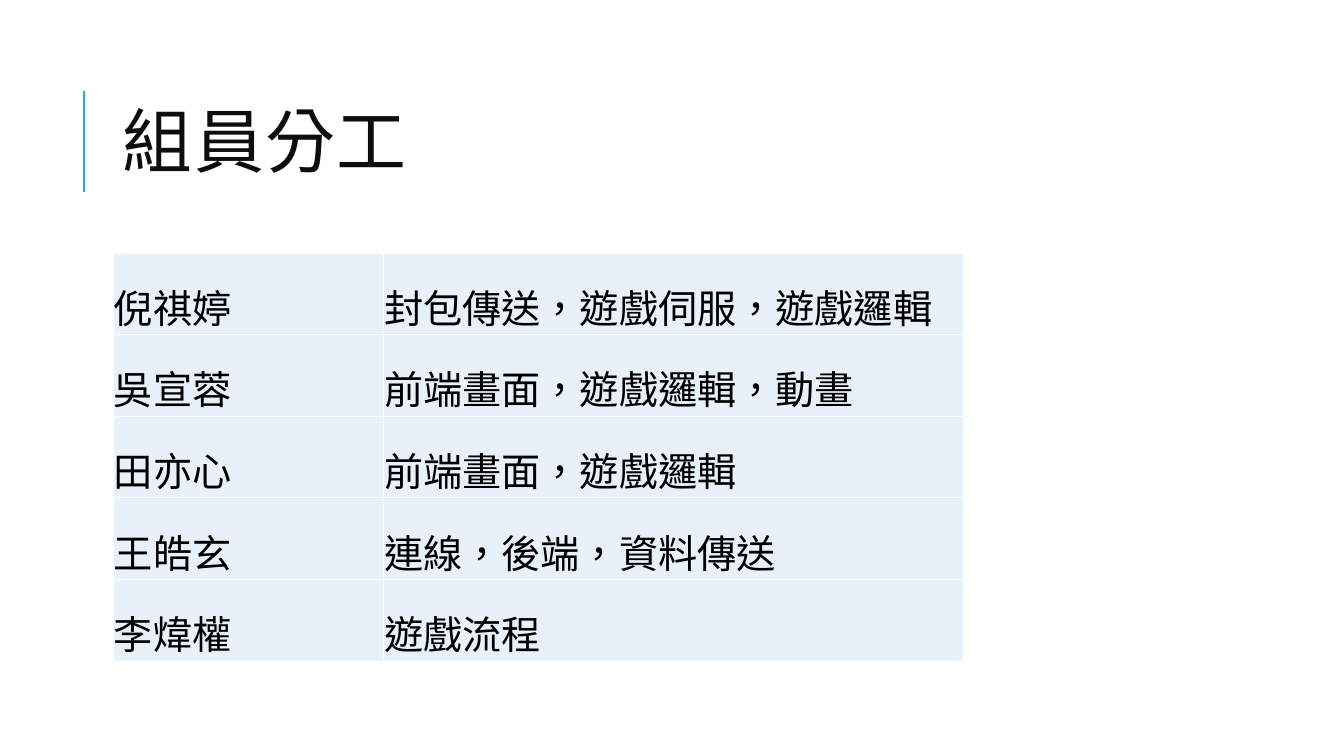
from dataclasses import dataclass

from lxml.etree import SubElement
from pptx import Presentation
from pptx.dml.color import RGBColor
from pptx.enum.shapes import MSO_CONNECTOR
from pptx.enum.text import MSO_ANCHOR
from pptx.oxml.ns import qn
from pptx.util import Inches, Pt

SLIDE_WIDTH, SLIDE_HEIGHT = 13.33, 7.5
COLORS = {"accent": "1CADE4", "title": "0D0D0D", "body": "000000",
          "cell": "E8F1FA", "border": "FFFFFF"}

# Grid, in inches
CONTENT_LEFT = 1.12
TABLE_TOP = 2.51
COLUMN_WIDTHS = (2.68, 5.76)
ROW_HEIGHT = 0.81
CELL_INSET = 0.01


@dataclass(frozen=True)
class Member:
    name: str
    duties: str
    duties_font: str = "Cabin"


MEMBERS = [
    Member("倪祺婷", "封包傳送，遊戲伺服，遊戲邏輯"),
    Member("吳宣蓉", "前端畫面，遊戲邏輯，動畫"),
    Member("田亦心", "前端畫面，遊戲邏輯"),
    Member("王皓玄", "連線，後端，資料傳送"),
    Member("李煒權", "遊戲流程", "Calibri"),
]


def rgb(name: str) -> RGBColor:
    return RGBColor.from_string(COLORS[name])


def write(frame, text: str, *, size: float, color: str, font: str = "Cabin",
          line_spacing: float = 1.0, tracking: float = 0) -> None:
    paragraph = frame.paragraphs[0]
    paragraph.line_spacing = line_spacing
    run = paragraph.add_run()
    run.text = text
    run.font.size = Pt(size)
    run.font.name = font
    run.font.color.rgb = rgb(color)
    properties = run._r.get_or_add_rPr()
    properties.set("lang", "zh-TW")
    if tracking:
        properties.set("spc", str(int(tracking * 100)))


def style_cell(cell) -> None:
    cell.vertical_anchor = MSO_ANCHOR.BOTTOM
    cell.margin_left = cell.margin_right = cell.margin_top = Inches(CELL_INSET)
    cell.margin_bottom = 0
    properties = cell._tc.get_or_add_tcPr()
    # Borders come before the fill in the cell properties
    for side in ("a:lnL", "a:lnR", "a:lnT", "a:lnB"):
        border = SubElement(properties, qn(side), w=str(Pt(1)))
        solid = SubElement(border, qn("a:solidFill"))
        SubElement(solid, qn("a:srgbClr"), val=COLORS["border"])
    cell.fill.solid()
    cell.fill.fore_color.rgb = rgb("cell")


def add_heading(slide) -> None:
    rule = slide.shapes.add_connector(
        MSO_CONNECTOR.STRAIGHT, Inches(0.83), Inches(1.9), Inches(0.83), Inches(0.9))
    rule.line.color.rgb = rgb("accent")
    rule.line.width = Pt(1.5)
    SubElement(rule._element.spPr, qn("a:effectLst"))

    heading = slide.shapes.add_textbox(
        Inches(CONTENT_LEFT), Inches(0.64), Inches(10.63), Inches(1.64)).text_frame
    heading.word_wrap = True
    heading.vertical_anchor = MSO_ANCHOR.MIDDLE
    write(heading, "組員分工", size=50, color="title", font="Calibri",
          line_spacing=0.8, tracking=1)


def add_duty_table(slide, members: list[Member]) -> None:
    duty_table = slide.shapes.add_table(
        len(members), len(COLUMN_WIDTHS), Inches(CONTENT_LEFT), Inches(TABLE_TOP),
        Inches(sum(COLUMN_WIDTHS)), Inches(ROW_HEIGHT * len(members))).table
    duty_table.first_row = duty_table.horz_banding = False
    for column, width in zip(duty_table.columns, COLUMN_WIDTHS):
        column.width = Inches(width)
    for row, member in zip(duty_table.rows, members):
        row.height = Inches(ROW_HEIGHT)
        entries = ((member.name, "Cabin"), (member.duties, member.duties_font))
        for cell, (text, font) in zip(row.cells, entries):
            style_cell(cell)
            write(cell.text_frame, text, size=28, color="body", font=font)


def main() -> None:
    deck = Presentation()
    deck.slide_width, deck.slide_height = Inches(SLIDE_WIDTH), Inches(SLIDE_HEIGHT)
    slide = deck.slides.add_slide(deck.slide_layouts[6])
    add_heading(slide)
    add_duty_table(slide, MEMBERS)
    deck.save("out.pptx")


if __name__ == "__main__":
    main()
